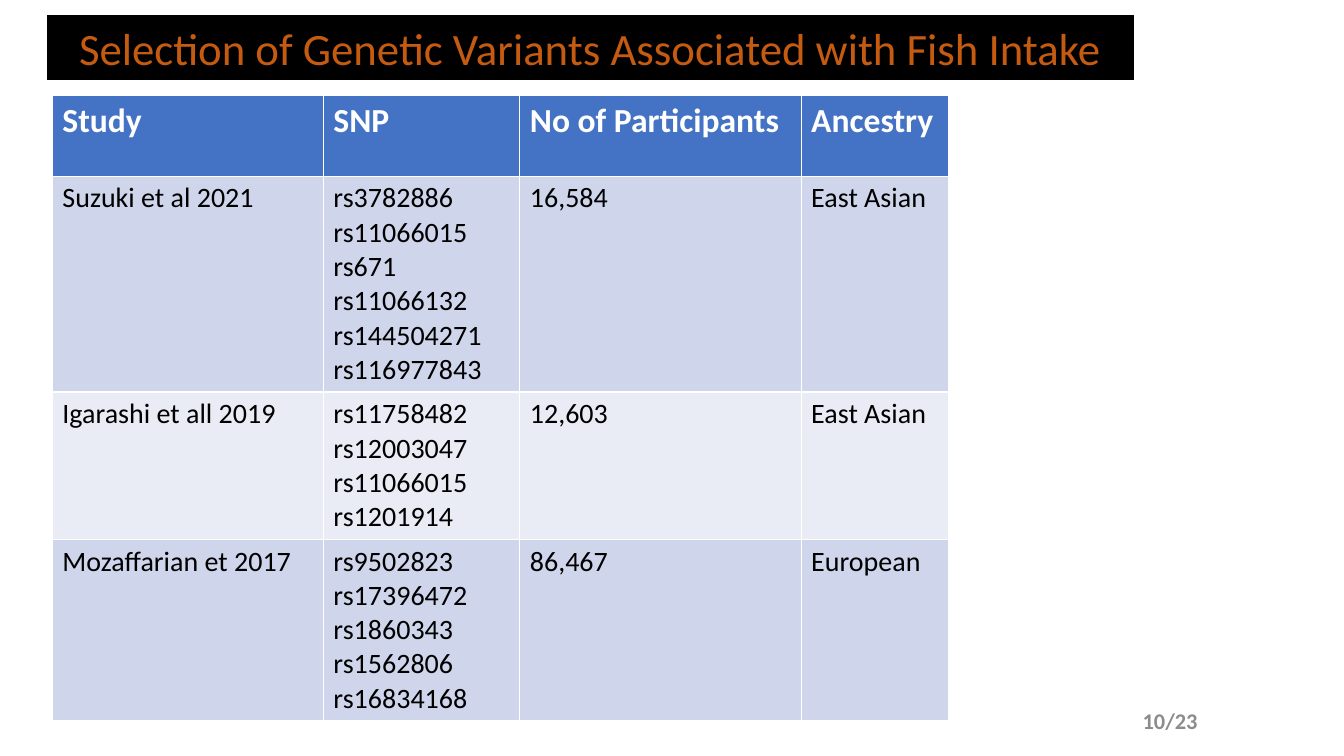
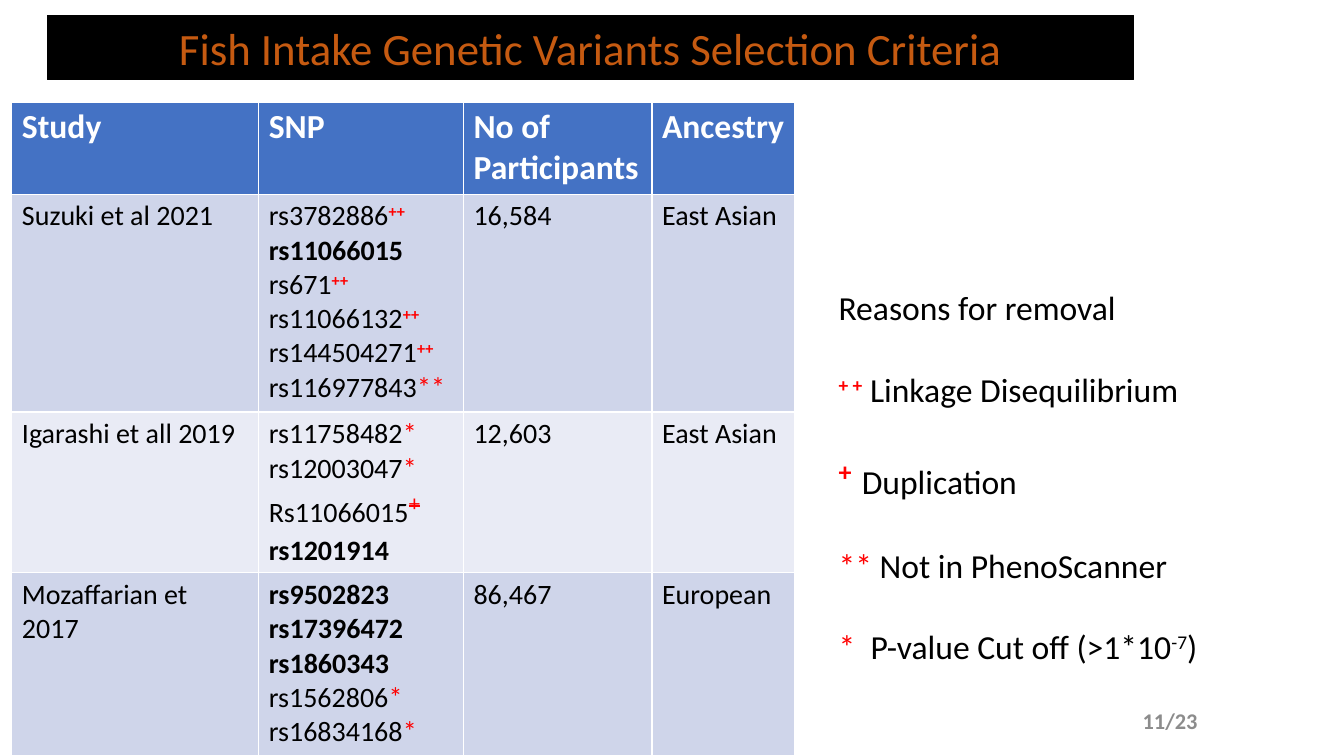
from pptx import Presentation
from pptx.dml.color import RGBColor
from pptx.enum.text import MSO_ANCHOR, MSO_AUTO_SIZE, PP_ALIGN
from pptx.oxml.ns import qn
from pptx.util import Cm, Pt

COLORS = {
    "band": "000000", "title": "C55A11", "header": "4472C4", "white": "FFFFFF",
    "odd": "CFD5EA", "even": "E9EBF5", "text": "000000", "mark": "FF0000",
    "page": "8C8C8C",
}
FONT = "Calibri"
PAGES = 23
SUPER = {"baseline": "30000"}

# Each style: font attributes, colour name, extra run properties
STYLES = {
    "title": ({"size": Pt(32), "bold": False}, "title", {}),
    "page": ({"size": Pt(16), "bold": True}, "page", {}),
    "header": ({"size": Pt(24), "bold": True}, "white", {}),
    "cell": ({"size": Pt(20), "bold": False}, "text", {}),
    "kept": ({"size": Pt(20), "bold": True}, "text", {}),
    "star": ({"size": Pt(20), "bold": False}, "mark", {}),
    "linked": ({"size": Pt(20), "bold": True}, "mark", SUPER),
    "duplicate": ({"size": Pt(28), "bold": False}, "mark",
                  {"strike": "sngStrike", **SUPER}),
    "legend": ({"size": Pt(24), "bold": False}, "text", {}),
    "legend star": ({"size": Pt(24), "bold": False}, "mark", {}),
    "legend linked": ({"size": Pt(24), "bold": True}, "mark", SUPER),
    "legend duplicate": ({"size": Pt(32), "bold": True}, "mark", SUPER),
    "legend super": ({"size": Pt(24), "bold": False}, "text", SUPER),
}

HEADERS = ["Study", "SNP", "No of Participants", "Ancestry"]
LINKED, STAR, STARS = ("++", "linked"), ("*", "star"), ("**", "star")
DUPLICATE = ("+", "duplicate")


def kept(snp):
    return [(snp, "kept")]


def removed(snp, mark):
    return [(snp, "cell"), mark]


# Study, SNPs with their selection marks, participants, ancestry
STUDIES = [
    ("Suzuki et al 2021",
     [removed("rs3782886", LINKED), kept("rs11066015"), removed("rs671", LINKED),
      removed("rs11066132", LINKED), removed("rs144504271", LINKED),
      removed("rs116977843", STARS)],
     "16,584", "East Asian"),
    ("Igarashi et all 2019",
     [removed("rs11758482", STAR), removed("rs12003047", STAR),
      removed("Rs11066015", DUPLICATE), kept("rs1201914")],
     "12,603", "East Asian"),
    ("Mozaffarian et 2017",
     [kept("rs9502823"), kept("rs17396472"), kept("rs1860343"),
      removed("rs1562806", STAR), removed("rs16834168", STAR)],
     "86,467", "European"),
]

LEGEND = [
    [("Reasons for removal", "legend")],
    [("+ +", "legend linked"), (" Linkage Disequilibrium", "legend")],
    [("+ ", "legend duplicate"), (" ", "legend super"), ("Duplication", "legend")],
    [("** ", "legend star"), ("Not in PhenoScanner", "legend")],
    [("* ", "legend star"), (" P-value Cut off (>1*10", "legend"),
     ("-7", "legend super"), (")", "legend")],
]


def rgb(name):
    return RGBColor.from_string(COLORS[name])


def place(sp, box):
    for name, value in zip(("left", "top", "width", "height"), box):
        setattr(sp, name, Cm(value))


def write(tf, paragraphs, **formats):
    """Fill a text frame with paragraphs, each a list of (text, style) runs."""
    for i, runs in enumerate(paragraphs):
        p = tf.add_paragraph() if i else tf.paragraphs[0]
        for name, value in formats.items():
            setattr(p, name, value)
        for text, style in runs:
            attrs, color, extra = STYLES[style]
            r = p.add_run()
            r.text = text
            r.font.name = FONT
            for name, value in attrs.items():
                setattr(r.font, name, value)
            r.font.color.rgb = rgb(color)
            for name, value in extra.items():
                r._r.get_or_add_rPr().set(name, value)


def add_title(s, text, box):
    sp = s.shapes.title
    place(sp, box)
    sp.fill.solid()
    sp.fill.fore_color.rgb = rgb("band")
    sp.line.color.rgb = rgb("band")
    sp.line.width = Pt(0.75)
    tf = sp.text_frame
    tf.auto_size = MSO_AUTO_SIZE.NONE
    tf.vertical_anchor = MSO_ANCHOR.MIDDLE
    write(tf, [[(text, "title")]], alignment=PP_ALIGN.CENTER)


def add_page_number(s, number, box):
    tf = s.shapes.add_textbox(*map(Cm, box)).text_frame
    tf.word_wrap = True
    tf.vertical_anchor = MSO_ANCHOR.MIDDLE
    write(tf, [[(f"{number}/{PAGES}", "page")]], alignment=PP_ALIGN.RIGHT)


def add_study_table(s, left, top, widths, heights, marked):
    rows = [[[[(h, "header")]] for h in HEADERS]]
    for study, snps, participants, ancestry in STUDIES:
        if not marked:
            snps = [[(runs[0][0].lower(), "cell")] for runs in snps]
        rows.append([[[(study, "cell")]], snps,
                     [[(participants, "cell")]], [[(ancestry, "cell")]]])

    box = (left, top, sum(widths), sum(heights))
    table = s.shapes.add_table(len(rows), len(HEADERS), *map(Cm, box)).table
    for column, width in zip(table.columns, widths):
        column.width = Cm(width)
    for i, (row, height) in enumerate(zip(rows, heights)):
        table.rows[i].height = Cm(height)
        fill = "header" if i == 0 else "odd" if i % 2 else "even"
        for j, paragraphs in enumerate(row):
            cell = table.cell(i, j)
            cell.fill.solid()
            cell.fill.fore_color.rgb = rgb(fill)
            write(cell.text_frame, paragraphs)


def add_legend(s, box):
    sp = s.placeholders[1]
    place(sp, box)
    tf = sp.text_frame
    tf.auto_size = MSO_AUTO_SIZE.NONE
    write(tf, LEGEND, space_before=Pt(29.3))
    tf.paragraphs[0].space_before = Pt(0)
    for p in tf.paragraphs:
        pPr = p._p.get_or_add_pPr()
        pPr.set("marL", "0")
        pPr.set("indent", "0")
        pPr.append(pPr.makeelement(qn("a:buNone"), {}))


def add_study_slide(prs, layout, number, title, **table):
    s = prs.slides.add_slide(prs.slide_layouts[layout])
    add_title(s, title, (1.19, 0.38, 27.38, 1.63))
    add_study_table(s, **table)
    add_page_number(s, number, (22.81, 17.65, 7.62, 1.02))
    return s


def main():
    prs = Presentation()
    prs.slide_width, prs.slide_height = Cm(33.87), Cm(19.05)
    add_study_slide(
        prs, 5, 10, "Selection of Genetic Variants Associated with Fish Intake",
        left=1.32, top=2.41, widths=(6.83, 4.95, 7.09, 3.72),
        heights=(2.03, 4.98, 3.4, 4.19), marked=False)
    s = add_study_slide(
        prs, 1, 11, "Fish Intake Genetic Variants Selection Criteria",
        left=0.3, top=2.57, widths=(6.22, 5.16, 4.75, 3.6),
        heights=(2.24, 5.49, 3.73, 4.6), marked=True)
    add_legend(s, (20.88, 7.11, 10.16, 9.5))
    prs.save("out.pptx")


if __name__ == "__main__":
    main()
